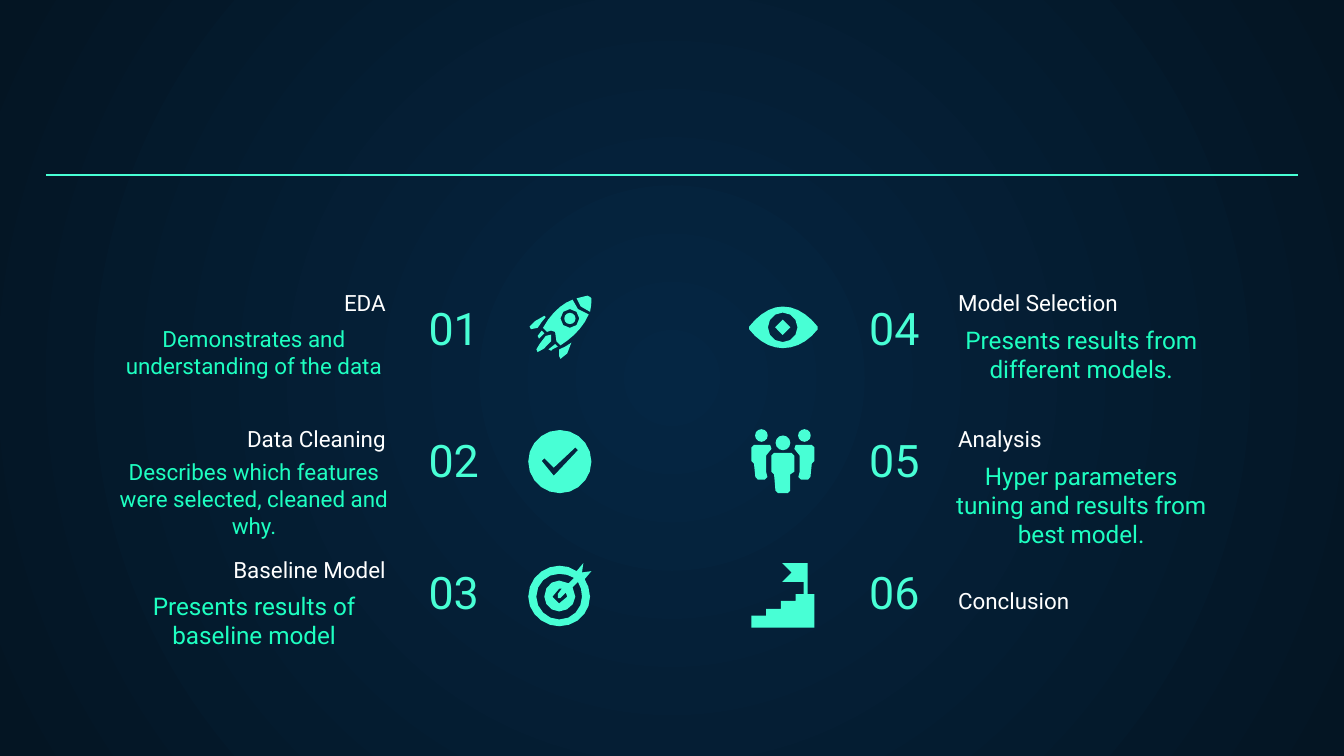
from math import dist

from lxml import etree
from pptx import Presentation
from pptx.dml.color import RGBColor
from pptx.enum.shapes import MSO_CONNECTOR, MSO_SHAPE
from pptx.enum.text import MSO_ANCHOR, PP_ALIGN
from pptx.oxml.ns import qn
from pptx.util import Pt

LEFT, CENTER, RIGHT = PP_ALIGN.LEFT, PP_ALIGN.CENTER, PP_ALIGN.RIGHT
TOP, BOTTOM = MSO_ANCHOR.TOP, MSO_ANCHOR.BOTTOM
STRAIGHT, OVAL = MSO_CONNECTOR.STRAIGHT, MSO_SHAPE.OVAL

WHITE = RGBColor(0xFF, 0xFF, 0xFF)
AQUA = RGBColor(0x48, 0xFF, 0xD5)
GREEN = RGBColor(0x1E, 0xFF, 0xC1)
NAVY = RGBColor(0x05, 0x26, 0x43)
MIDNIGHT = RGBColor(0x04, 0x15, 0x23)

ICON_UNIT = 0.72  # points per unit of the icon grid
STEP_LENGTH, MOST_STEPS = 6, 5  # how finely curves are cut
LEAST_GAP = 1.3  # closer points are merged
NUMBERS_NEEDED = {"M": 2, "L": 2, "C": 6}


def circle(x, y, r):
    """Outline of a circle made of four curves."""
    k = r * 0.55
    return (f"M {x} {y - r} C {x + k} {y - r} {x + r} {y - k} {x + r} {y} "
            f"{x + r} {y + k} {x + k} {y + r} {x} {y + r} "
            f"{x - k} {y + r} {x - r} {y + k} {x - r} {y} "
            f"{x - r} {y - k} {x - k} {y - r} {x} {y - r} ")


def flatten(corners):
    """Points along a curve, fewer on short ones."""
    steps = max(1, min(MOST_STEPS, round(dist(corners[0], corners[3]) / STEP_LENGTH)))
    for step in range(1, steps + 1):
        t = step / steps
        weights = ((1 - t) ** 3, 3 * t * (1 - t) ** 2, 3 * t * t * (1 - t), t ** 3)
        yield tuple(sum(w * corner[axis] for w, corner in zip(weights, corners))
                    for axis in (0, 1))


def contours(outline):
    """Turn M, L and C commands into lists of points."""
    result, numbers, command, position = [], [], None, None
    for token in outline.split():
        if token in NUMBERS_NEEDED:
            command = token
            continue
        numbers.append(float(token))
        if len(numbers) < NUMBERS_NEEDED[command]:
            continue
        points = list(zip(numbers[::2], numbers[1::2]))
        numbers = []
        if command == "M":
            result.append(points)
        else:
            new_points = flatten([position] + points) if command == "C" else points
            for point in new_points:
                if min(dist(point, result[-1][-1]), dist(point, result[-1][0])) > LEAST_GAP:
                    result[-1].append(point)
        position = points[-1]
    return result


# Icons on a grid about 47 units wide: outlines, or (x, y, radius) for a disc
ROCKET = [
    "M 10 26 C 8 28 8 30 7 30 L 8 32 C 9 31 10 30 11 29 L 12 28",
    "M 20 36 L 19 36 C 18 38 17 39 15 40 L 17 41 18 40 22 38",
    "M 17 29 L 13 30 C 9 35 7 38 6 40 L 7 42 C 10 41 13 39 17 34 19 33 19 30 18 29",
    "M 12 15 C 10 15 7 16 5 19 L 1 23 2 25 7 24 C 9 21 11 18 13 16",
    "M 32 35 C 29 37 26 39 23 40 24 41 23 42 23 45 L 24 47 29 43 C 32 40 33 36 32 35",
    (31, 17, 4.2),
    "M 44 0 C 41 0 39 1 36 2 36 4 37 6 39 8 41 10 44 12 46 12 47 9 47 5 47 2 L 46 1",
    circle(31, 17, 7) +
    "M 33 3 C 25 6 17 13 11 24 L 14 27 17 26 20 27 C 22 29 22 31 21 34 "
    "L 24 37 C 32 32 41 24 45 14 42 14 40 13 37 10 35 8 34 5 33 3",
]
CHECK = [
    circle(23.5, 23.5, 23.5) +
    "M 35 13 L 37 15 20 33 19 34 10 23 12 21 19 28",
]
TARGET = [
    "M 23 19 L 25 19 22 23 C 21 23 21 25 22 26 L 24 26 28 22 "
    "C 29 23 29 24 29 25 29 28 26 30 23 30 20 30 18 28 18 25 18 22 20 19 23 19 "
    "M 23 8 C 27 8 31 9 34 11 L 30 15 C 28 14 26 13 23 13 17 13 12 18 12 25 "
    "12 31 17 36 23 36 29 36 35 31 35 25 35 22 34 20 33 18 L 37 14 "
    "C 39 17 40 21 40 25 40 34 33 42 23 42 14 42 6 34 6 25 6 15 14 8 23 8 "
    "M 41 0 L 36 6 C 32 3 28 2 23 2 11 2 0 12 0 25 0 37 11 47 23 47 "
    "36 47 46 37 46 25 46 20 44 15 42 12 L 47 6 40 7",
]
EYE = [
    circle(26, 15.5, 5.7) + circle(26, 15.5, 11) +
    "M 26 0 C 17 0 8 6 1 15 L 1 17 C 8 26 17 31 26 31 36 31 45 26 52 17 "
    "L 52 15 C 45 6 36 0 26 0",
]
PEOPLE = [
    (7.5, 5, 4.7),
    "M 2 12 L 0 14 0 24 2 26 3 26 3 36 5 38 10 38 12 36 11 32 11 20 "
    "C 11 18 13 16 15 15 L 14 12",
    (39.5, 5, 4.7),
    "M 45 12 L 47 14 47 24 45 26 44 26 44 36 42 38 37 38 35 36 36 32 36 20 "
    "C 36 18 34 16 32 15 L 33 12",
    "M 17 18 L 15 20 15 32 17 34 18 34 18 46 20 48 27 48 29 46 29 34 30 34 "
    "32 32 32 20 30 18",
    (23.5, 10.5, 5.5),
]
STEPS = [
    "M 23 0 L 30 7 23 14 39 14 39 23 33 23 33 28 22 28 22 34 11 34 11 39 "
    "0 39 0 48 47 48 47 23 42 23 42 0",
]


class AgendaSlide:
    font = "Roboto"
    accent = AQUA

    def __init__(self, slide):
        self.slide = slide

    def background(self, inner, outer):
        fill = self.slide.background.fill
        fill.gradient()
        for stop, color in zip(fill.gradient_stops, (inner, outer)):
            stop.color.rgb = color
        gradient = self.slide.element.find(".//" + qn("a:gradFill"))
        gradient.remove(gradient.find(qn("a:lin")))
        radial = etree.SubElement(gradient, qn("a:path"), path="circle")
        etree.SubElement(radial, qn("a:fillToRect"), l="50000", t="50000", r="50000", b="50000")

    def text(self, words, box, size, color, align, anchor=BOTTOM):
        frame = self.slide.shapes.add_textbox(*map(Pt, box)).text_frame
        frame.word_wrap = True
        frame.vertical_anchor = anchor
        paragraph = frame.paragraphs[0]
        frame.margin_left = frame.margin_right = Pt(7.2)
        frame.margin_top = frame.margin_bottom = Pt(7.2)
        paragraph.text = words
        paragraph.alignment = align
        paragraph.font.name = self.font
        paragraph.font.size = Pt(size)
        paragraph.font.color.rgb = color

    def disc(self, shapes, center, left, top):
        x, y, radius = (value * ICON_UNIT for value in center)
        return shapes.add_shape(OVAL, Pt(left + x - radius), Pt(top + y - radius),
                                Pt(2 * radius), Pt(2 * radius))

    def freeform(self, shapes, outline, left, top):
        builder = None
        for contour in contours(outline):
            start, *rest = [(Pt(x * ICON_UNIT), Pt(y * ICON_UNIT)) for x, y in contour]
            if builder is None:
                builder = shapes.build_freeform(*start)
            else:
                builder.move_to(*start)
            builder.add_line_segments(rest, close=True)
        return builder.convert_to_shape(Pt(left), Pt(top))

    def icon(self, parts, left, top):
        shapes = self.slide.shapes
        if len(parts) > 1:
            shapes = shapes.add_group_shape().shapes
        for part in parts:
            draw = self.freeform if isinstance(part, str) else self.disc
            shape = draw(shapes, part, left, top)
            shape.shadow.inherit = False
            shape.fill.solid()
            shape.fill.fore_color.rgb = self.accent
            shape.line.fill.background()

    def rule(self, left, right, y):
        line = self.slide.shapes.add_connector(STRAIGHT, Pt(left), Pt(y), Pt(right), Pt(y))
        line.line.color.rgb = self.accent
        line.line.width = Pt(0.75)
        etree.SubElement(line.element.spPr, qn("a:effectLst"))


# Per column: heading and number alignment, then left and width of heading, body, number
COLUMNS = [
    (RIGHT, LEFT, (50.4, 163.4), (56.9, 158.4), (222.5, 92.9)),
    (LEFT, RIGHT, (506.2, 163.4), (504.7, 149), (406.8, 92.9)),
]
HEADING_TOPS = (161.3, 234, 304.6)
# Heading, heading height, body, body top, body size, icon, icon left, icon top
TOPICS = [
    ("EDA", 15.1, "Demonstrates and understanding of the data", 167, 12, ROCKET, 283, 158.4),
    ("Data Cleaning", 15.1, "Describes which features were selected, cleaned and why.",
     238.3, 12, CHECK, 283, 230.4),
    ("Baseline Model", 15.1, "Presents results of baseline model", 309.6, 13, TARGET, 283, 301.7),
    ("Model Selection", 15.1, "Presents results from different models.",
     167, 13, EYE, 400.6, 164.2),
    ("Analysis", 15.1, "Hyper parameters tuning and results from best model.",
     239.8, 13, PEOPLE, 402.5, 229.7),
    ("Conclusion", 31.7, None, None, None, STEPS, 402.5, 301.7),
]

presentation = Presentation()
presentation.slide_width, presentation.slide_height = Pt(720), Pt(405)
agenda = AgendaSlide(presentation.slides.add_slide(presentation.slide_layouts[6]))
agenda.background(NAVY, MIDNIGHT)
agenda.rule(24.6, 695.4, 93.8)

# Six topics, three to a column
for index, (heading, height, body, body_top, size, icon, icon_left, icon_top) in enumerate(TOPICS):
    column, row = divmod(index, 3)
    heading_align, number_align, heading_span, body_span, number_span = COLUMNS[column]
    if body:
        agenda.text(body, (body_span[0], body_top, body_span[1], 39.6), size, GREEN, CENTER, TOP)
    agenda.text(f"{index + 1:02}", (number_span[0], 149.8 + 70.6 * row, number_span[1], 47.5),
                24, AQUA, number_align)
    agenda.text(heading, (heading_span[0], HEADING_TOPS[row], heading_span[1], height),
                12, WHITE, heading_align)
    agenda.icon(icon, icon_left, icon_top)

presentation.save("out.pptx")
